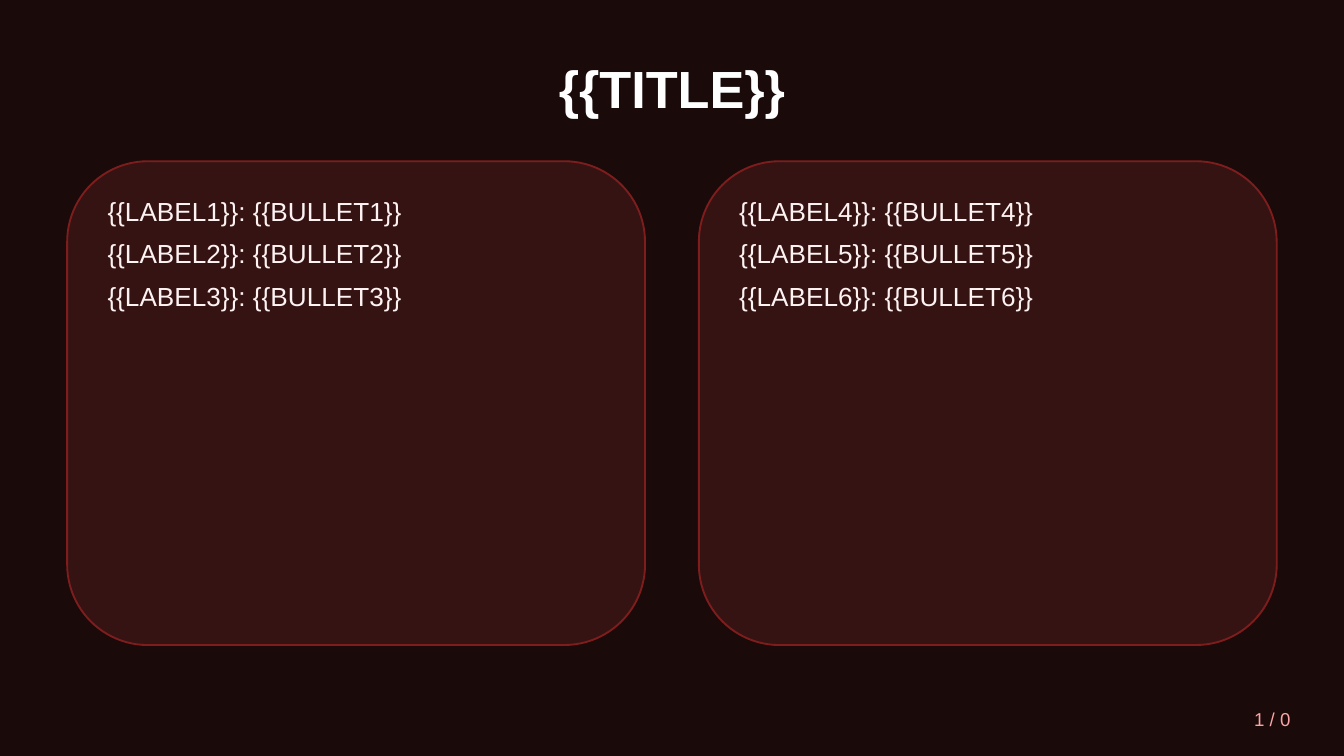
from dataclasses import dataclass

from lxml.etree import SubElement
from pptx import Presentation
from pptx.dml.color import RGBColor
from pptx.enum.shapes import MSO_SHAPE
from pptx.enum.text import MSO_ANCHOR, MSO_AUTO_SIZE, PP_ALIGN
from pptx.oxml.ns import qn
from pptx.shapes.autoshape import Shape
from pptx.slide import Slide
from pptx.util import Pt


@dataclass(frozen=True)
class Theme:
    font: str = "Arial"
    background: str = "1A0A0A"
    card: str = "3A1515"
    card_line: str = "7F1D1D"
    title: str = "FFFFFF"
    body: str = "FEF2F2"
    page: str = "FCA5A5"
    title_size: int = 28
    body_size: int = 14
    page_size: int = 10
    card_opacity: int = 90


@dataclass(frozen=True)
class Box:
    left: float
    top: float
    width: float
    height: float

    def inset(self, margin: float) -> "Box":
        return Box(self.left + margin, self.top + margin,
                   self.width - 2 * margin, self.height - 2 * margin)


THEME = Theme()
SLIDE_WIDTH, SLIDE_HEIGHT = 720, 405
TITLE_BOX = Box(36, 21.6, 648, 50.4)
FIRST_CARD = Box(36, 86.4, 309.6, 259.2)
CARD_GAP = 28.8
CARD_PADDING = 14.4
PAGE_BOX = Box(612, 374.4, 86.4, 21.6)
BULLETS_PER_CARD = 3


def place(shape: Shape, box: Box) -> None:
    shape.left, shape.top = Pt(box.left), Pt(box.top)
    shape.width, shape.height = Pt(box.width), Pt(box.height)


def write(shape: Shape, lines: list[str], size: int, color: str,
          align: PP_ALIGN = PP_ALIGN.LEFT,
          anchor: MSO_ANCHOR = MSO_ANCHOR.MIDDLE,
          bold: bool = False, space_after: float = 0) -> None:
    frame = shape.text_frame
    frame.word_wrap = True
    frame.auto_size = MSO_AUTO_SIZE.NONE
    frame.vertical_anchor = anchor
    for index, line in enumerate(lines):
        paragraph = frame.paragraphs[0] if index == 0 else frame.add_paragraph()
        # Plain lines: no bullet and no hanging indent
        properties = paragraph._p.get_or_add_pPr()
        properties.set("marL", "0")
        properties.set("indent", "0")
        SubElement(properties, qn("a:buNone"))
        paragraph.alignment = align
        paragraph.space_before = Pt(0)
        paragraph.space_after = Pt(space_after)
        run = paragraph.add_run()
        run.text = line
        run.font.name = THEME.font
        run.font.size = Pt(size)
        run.font.bold = bold
        run.font.color.rgb = RGBColor.from_string(color)


def add_card(slide: Slide, box: Box) -> None:
    card = slide.shapes.add_shape(
        MSO_SHAPE.ROUNDED_RECTANGLE,
        Pt(box.left), Pt(box.top), Pt(box.width), Pt(box.height))
    card.shadow.inherit = False
    card.fill.solid()
    card.fill.fore_color.rgb = RGBColor.from_string(THEME.card)
    color = card.fill._xPr.find(qn("a:solidFill")).find(qn("a:srgbClr"))
    SubElement(color, qn("a:alpha"), val=str(THEME.card_opacity * 1000))
    card.line.color.rgb = RGBColor.from_string(THEME.card_line)
    card.line.width = Pt(1)


def bring_to_front(slide: Slide, shape: Shape) -> None:
    slide.shapes._spTree.append(shape._element)


def main() -> None:
    presentation = Presentation()
    presentation.slide_width = Pt(SLIDE_WIDTH)
    presentation.slide_height = Pt(SLIDE_HEIGHT)
    slide = presentation.slides.add_slide(
        presentation.slide_layouts.get_by_name("Two Content"))
    slide.background.fill.solid()
    slide.background.fill.fore_color.rgb = RGBColor.from_string(THEME.background)

    # Title
    title, *bodies = slide.placeholders
    place(title, TITLE_BOX)
    write(title, ["{{TITLE}}"], THEME.title_size, THEME.title,
          PP_ALIGN.CENTER, bold=True)

    # Two cards, each with its list
    for column, body in enumerate(bodies):
        box = Box(FIRST_CARD.left + column * (FIRST_CARD.width + CARD_GAP),
                  FIRST_CARD.top, FIRST_CARD.width, FIRST_CARD.height)
        first = column * BULLETS_PER_CARD + 1
        lines = [f"{{{{LABEL{number}}}}}: {{{{BULLET{number}}}}}"
                 for number in range(first, first + BULLETS_PER_CARD)]
        add_card(slide, box)
        place(body, box.inset(CARD_PADDING))
        write(body, lines, THEME.body_size, THEME.body,
              anchor=MSO_ANCHOR.TOP, space_after=6)
        bring_to_front(slide, body)

    # Page count
    page = slide.shapes.add_textbox(Pt(0), Pt(0), Pt(0), Pt(0))
    place(page, PAGE_BOX)
    write(page, ["1 / 0"], THEME.page_size, THEME.page, PP_ALIGN.RIGHT)

    presentation.save("out.pptx")


if __name__ == "__main__":
    main()
